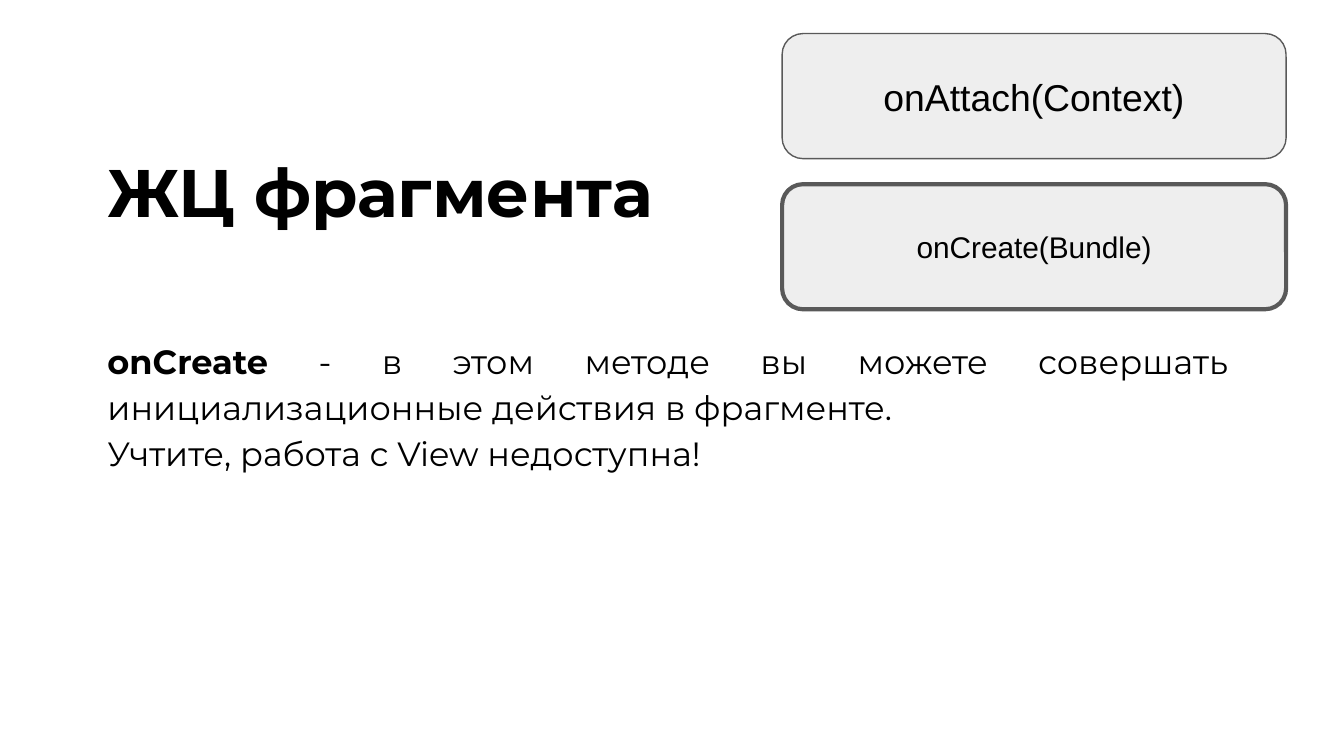
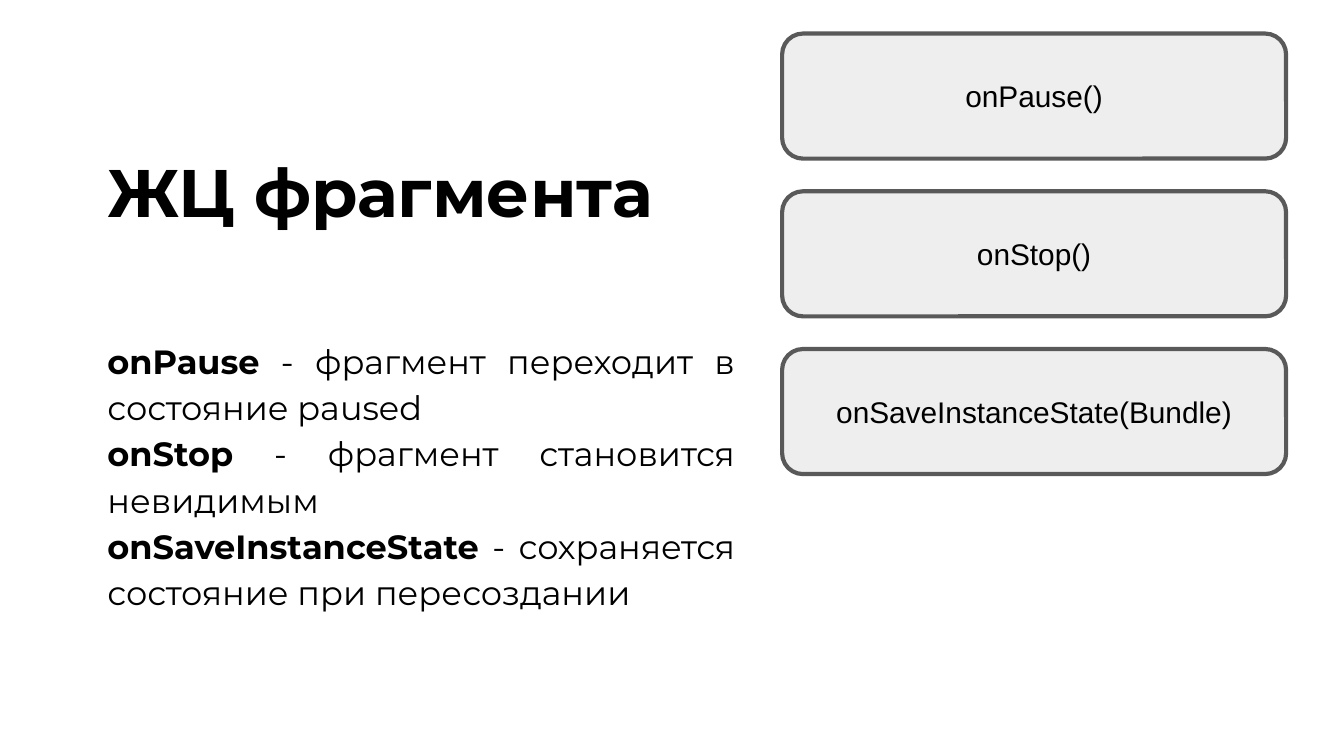
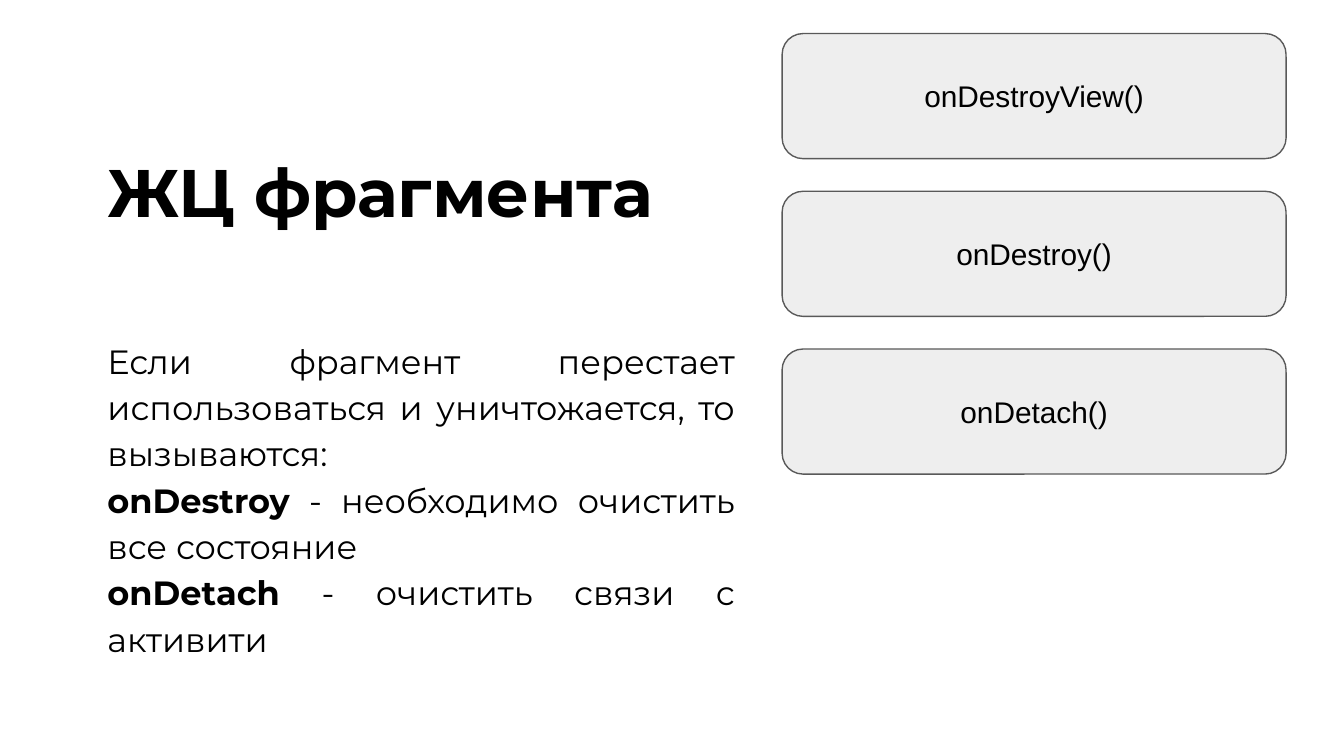
from pptx import Presentation
from pptx.dml.color import RGBColor
from pptx.enum.shapes import MSO_SHAPE
from pptx.enum.text import MSO_ANCHOR, PP_ALIGN
from pptx.util import Pt

ROUNDED = MSO_SHAPE.ROUNDED_RECTANGLE
MIDDLE = MSO_ANCHOR.MIDDLE
CENTER = PP_ALIGN.CENTER
JUSTIFY = PP_ALIGN.JUSTIFY

BLACK = RGBColor(0x00, 0x00, 0x00)
BOX_FILL = RGBColor(0xEE, 0xEE, 0xEE)
BOX_LINE = RGBColor(0x59, 0x59, 0x59)

TEXT_FONT = "Montserrat"
BOX_FONT = "Arial"
TITLE = "ЖЦ фрагмента"

TEXT_LEFT = 57.6
NARROW_BODY = 336.2
WIDE_BODY = 600.5
BOX_LEFT, BOX_TOP, BOX_WIDTH, BOX_HEIGHT = 419, 18, 270, 67
THIN, THICK = 0.75, 2.25
TIGHT_GAP, BOX_GAP = 13.7, 17.5


class LifecycleDeck:
    def __init__(self):
        self.presentation = Presentation()
        self.presentation.slide_width = Pt(720)
        self.presentation.slide_height = Pt(405)
        self.slide = None

    def add_slide(self):
        layout = self.presentation.slide_layouts[6]
        self.slide = self.presentation.slides.add_slide(layout)
        self.add_title()

    def format_run(self, run, font_name, size, bold=False):
        run.font.name = font_name
        run.font.size = Pt(size)
        run.font.bold = bold
        run.font.color.rgb = BLACK

    def set_margins(self, text_frame, margin):
        text_frame.word_wrap = True
        text_frame.margin_left = text_frame.margin_right = Pt(margin)
        text_frame.margin_top = text_frame.margin_bottom = Pt(margin)

    def add_text_frame(self, top, width, height):
        shape = self.slide.shapes.add_textbox(
            Pt(TEXT_LEFT), Pt(top), Pt(width), Pt(height)
        )
        self.set_margins(shape.text_frame, 0)
        return shape.text_frame

    def add_title(self):
        text_frame = self.add_text_frame(80.6, 354.2, 85.7)
        text_frame.text = TITLE
        self.format_run(text_frame.paragraphs[0].runs[0], TEXT_FONT, 36, bold=True)

    def add_body(self, width, entries):
        text_frame = self.add_text_frame(179.3, width, 192.2)
        for index, (method, description) in enumerate(entries):
            paragraph = text_frame.add_paragraph() if index else text_frame.paragraphs[0]
            paragraph.alignment = JUSTIFY
            paragraph.line_spacing = 1.15
            for text, bold in ((method, True), (description, False)):
                if text:
                    run = paragraph.add_run()
                    run.text = text
                    self.format_run(run, TEXT_FONT, 18, bold)

    def add_method_box(self, top, label, line_width, size):
        shape = self.slide.shapes.add_shape(
            ROUNDED, Pt(BOX_LEFT), Pt(top), Pt(BOX_WIDTH), Pt(BOX_HEIGHT)
        )
        shape.shadow.inherit = False
        shape.fill.solid()
        shape.fill.fore_color.rgb = BOX_FILL
        shape.line.color.rgb = BOX_LINE
        shape.line.width = Pt(line_width)
        text_frame = shape.text_frame
        self.set_margins(text_frame, 7.2)
        text_frame.vertical_anchor = MIDDLE
        text_frame.text = label
        paragraph = text_frame.paragraphs[0]
        paragraph.alignment = CENTER
        self.format_run(paragraph.runs[0], BOX_FONT, size)

    def add_method_stack(self, boxes, gap=BOX_GAP):
        for index, (label, line_width, size) in enumerate(boxes):
            top = BOX_TOP + index * (BOX_HEIGHT + gap)
            self.add_method_box(top, label, line_width, size)


def main():
    deck = LifecycleDeck()

    deck.add_slide()
    deck.add_body(WIDE_BODY, [
        ("onCreate", " - в этом методе вы можете совершать "
                     "инициализационные действия в фрагменте. "),
        ("", "Учтите, работа с View недоступна!"),
    ])
    deck.add_method_stack([
        ("onAttach(Context)", THIN, 20),
        ("onCreate(Bundle)", THICK, 16),
    ], TIGHT_GAP)

    deck.add_slide()
    deck.add_body(NARROW_BODY, [
        ("onPause", " - фрагмент переходит в состояние paused"),
        ("onStop", " - фрагмент становится невидимым"),
        ("onSaveInstanceState", " - сохраняется состояние при пересоздании"),
    ])
    deck.add_method_stack([
        (label, THICK, 16)
        for label in ("onPause()", "onStop()", "onSaveInstanceState(Bundle)")
    ])

    deck.add_slide()
    deck.add_body(NARROW_BODY, [
        ("", "Если фрагмент перестает использоваться и уничтожается, "
             "то вызываются:"),
        ("onDestroy", " - необходимо очистить все состояние"),
        ("onDetach", " - очистить связи с активити"),
    ])
    deck.add_method_stack([
        (label, THIN, 16)
        for label in ("onDestroyView()", "onDestroy()", "onDetach()")
    ])

    deck.presentation.save("out.pptx")


if __name__ == "__main__":
    main()
